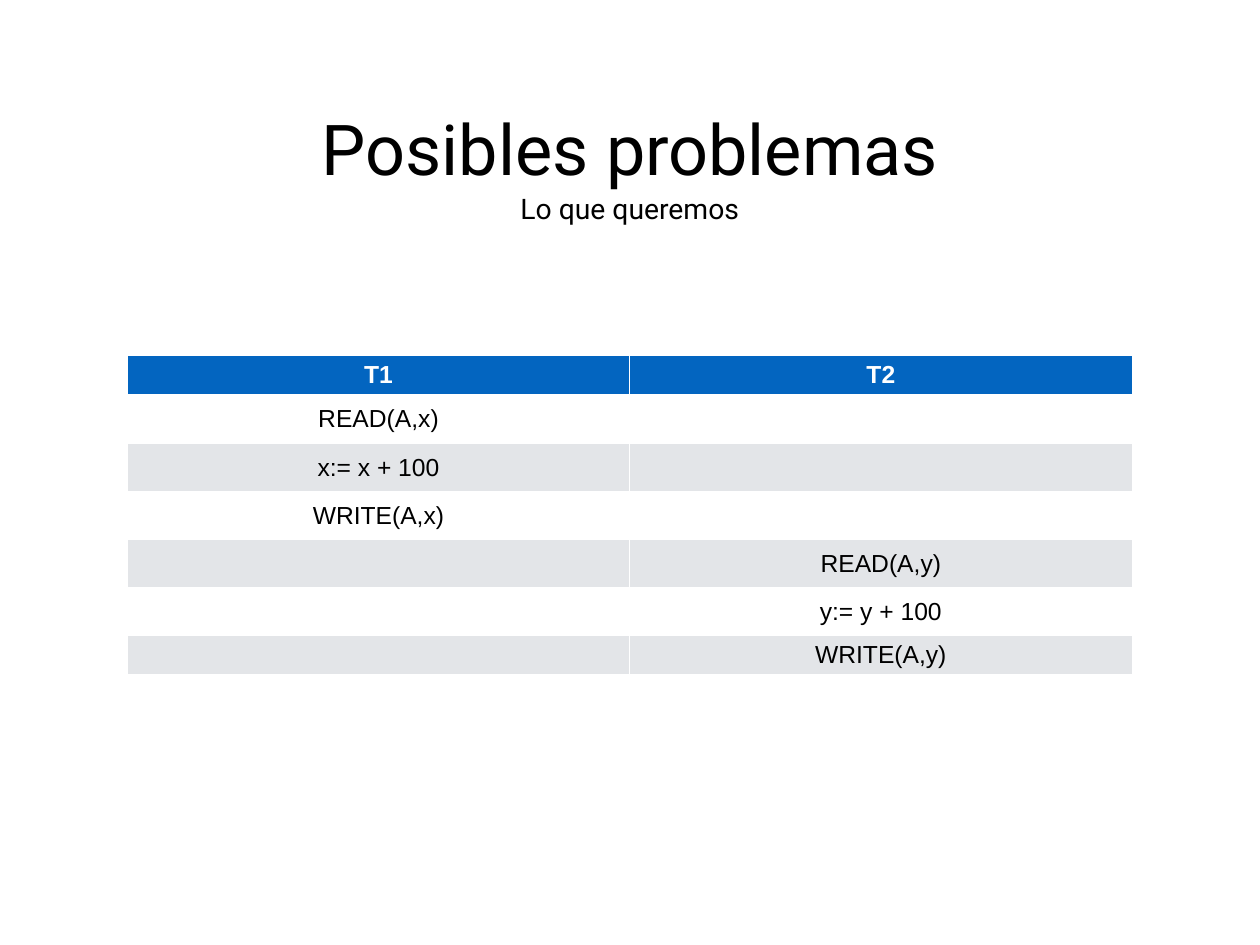
"""Build a slide that shows the wanted schedule of two transactions."""
import pptx
import pptx.dml.color
import pptx.enum.text
import pptx.util

Pt = pptx.util.Pt
COLORS = {
    "text": "000000",
    "background": "FFFFFF",
    "header": "0365C0",
    "header_text": "FFFFFF",
    "plain": "FFFFFF",
    "band": "E3E5E8",
}
INSET = 4
COLUMN_WIDTH = 408.25
ROW_HEIGHTS = [32.5, 39.6, 39, 39, 39, 39, 31.7]
SCHEDULE = [
    ("T1", "T2"),
    ("READ(A,x)", ""),
    ("x:= x + 100", ""),
    ("WRITE(A,x)", ""),
    ("", "READ(A,y)"),
    ("", "y:= y + 100"),
    ("", "WRITE(A,y)"),
]


def rgb(name):
    return pptx.dml.color.RGBColor.from_string(COLORS[name])


def write(frame, text, *, font="Arial", size=20, color="text", bold=False):
    para = frame.paragraphs[0]
    para.alignment = pptx.enum.text.PP_ALIGN.CENTER
    span = para.add_run()
    span.text = text
    span.font.name = font
    span.font.size = Pt(size)
    span.font.bold = bold
    span.font.color.rgb = rgb(color)


def set_insets(holder):
    holder.margin_left = holder.margin_right = Pt(INSET)
    holder.margin_top = holder.margin_bottom = Pt(INSET)
    holder.vertical_anchor = pptx.enum.text.MSO_ANCHOR.MIDDLE


def fill_heading(box, text, *, top, height, size):
    box.left, box.top = Pt(256), Pt(top)
    box.width, box.height = Pt(512), Pt(height)
    frame = box.text_frame
    frame.word_wrap = True
    frame.auto_size = pptx.enum.text.MSO_AUTO_SIZE.NONE
    set_insets(frame)
    write(frame, text, font="Roboto", size=size)
    frame.paragraphs[0].space_before = Pt(0)
    frame.paragraphs[0].line_spacing = 1.0


def fill_cell(cell, text, row):
    header = row == 0
    fill = "header" if header else "plain" if row % 2 else "band"
    cell.fill.solid()
    cell.fill.fore_color.rgb = rgb(fill)
    set_insets(cell)
    if text:
        color = "header_text" if header else "text"
        write(cell.text_frame, text, color=color, bold=header)


def add_schedule(page, rows, *, left, top):
    columns = len(rows[0])
    table = page.shapes.add_table(
        len(rows), columns, Pt(left), Pt(top),
        Pt(columns * COLUMN_WIDTH), Pt(sum(ROW_HEIGHTS)),
    ).table
    for column in table.columns:
        column.width = Pt(COLUMN_WIDTH)
    for row, (texts, height) in enumerate(zip(rows, ROW_HEIGHTS)):
        table.rows[row].height = Pt(height)
        for column, text in enumerate(texts):
            fill_cell(table.cell(row, column), text, row)


def main():
    deck = pptx.Presentation()
    deck.slide_width, deck.slide_height = Pt(1024), Pt(768)
    page = deck.slides.add_slide(deck.slide_layouts[0])
    page.background.fill.solid()
    page.background.fill.fore_color.rgb = rgb("background")
    fill_heading(page.shapes.title, "Posibles problemas", top=83, height=74, size=57)
    fill_heading(page.placeholders[1], "Lo que queremos", top=151, height=36, size=23)
    add_schedule(page, SCHEDULE, left=103.5, top=288.5)
    deck.save("out.pptx")


if __name__ == "__main__":
    main()
